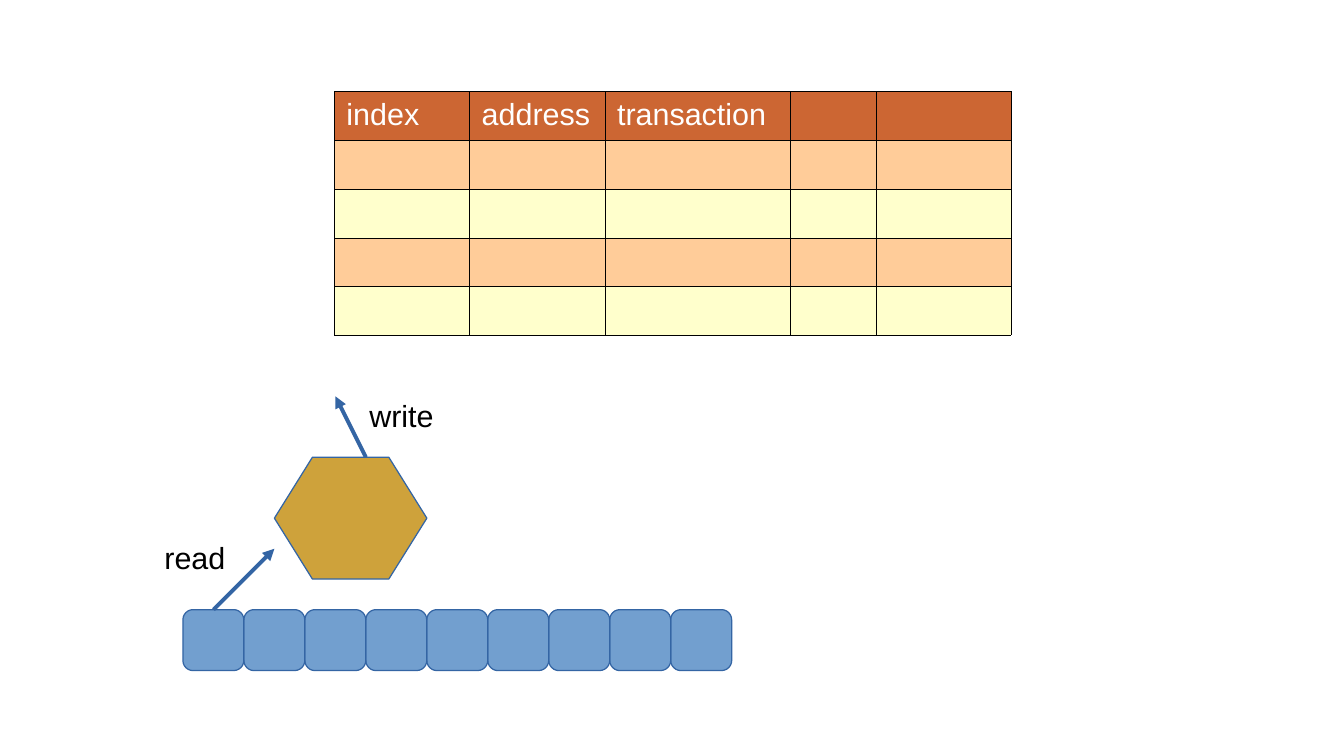
"""Build a slide with an index table, a hexagonal reader and a row of blocks."""
from lxml import etree
from pptx import Presentation
from pptx.dml.color import RGBColor
from pptx.enum.shapes import MSO_CONNECTOR, MSO_SHAPE
from pptx.enum.text import MSO_AUTO_SIZE
from pptx.oxml.ns import qn
from pptx.util import Inches, Pt

STRAIGHT = MSO_CONNECTOR.STRAIGHT
ROUNDED, HEXAGON = MSO_SHAPE.ROUNDED_RECTANGLE, MSO_SHAPE.HEXAGON
FIT_TEXT = MSO_AUTO_SIZE.SHAPE_TO_FIT_TEXT
THEME = {
    "block": "729FCF", "line": "3465A4", "hexagon": "CEA23B",
    "header": "CC6633", "bands": ["FFFFCC", "FFCC99"], "border": "000000",
    "text": "000000", "header_text": "FFFFFF",
    "font": "Arial", "size": Pt(18), "arrow": Pt(2.3), "hairline": Pt(0.06),
}
CELL = Inches(0.5)
BLOCKS = 9
HEADERS = ["index", "address", "transaction", "", ""]
COLUMNS = [1.11, 1.11, 1.52, 0.7, 1.11]
ROWS, ROW_HEIGHT = 5, Inches(0.4)


def add_node(kind, col, row, cols, rows, adjust, fill):
    s = slide.shapes.add_shape(
        kind, int(col * CELL), int(row * CELL), int(cols * CELL), int(rows * CELL))
    s.adjustments[0] = adjust
    s.shadow.inherit = False
    s.fill.solid()
    s.fill.fore_color.rgb = RGBColor.from_string(fill)
    s.line.color.rgb = RGBColor.from_string(THEME["line"])
    s.line.width = 0


def style_text(p, color):
    p.font.name = THEME["font"]
    p.font.size = THEME["size"]
    p.font.color.rgb = RGBColor.from_string(color)


prs = Presentation()
prs.slide_width, prs.slide_height = Inches(11.02), Inches(6.2)
slide = prs.slides.add_slide(prs.slide_layouts[6])

for i in reversed(range(BLOCKS)):
    add_node(ROUNDED, 3 + i, 10, 1, 1, 0.167, THEME["block"])
add_node(HEXAGON, 4.5, 7.5, 2.5, 2, 0.312, THEME["hexagon"])

table = slide.shapes.add_table(
    ROWS, len(COLUMNS), Inches(2.74), Inches(0.75),
    Inches(sum(COLUMNS)), ROWS * ROW_HEIGHT).table
table.first_row = table.horz_banding = False
for column, width in zip(table.columns, COLUMNS):
    column.width = Inches(width)
for r, row in enumerate(table.rows):
    row.height = ROW_HEIGHT
    for c, cell in enumerate(row.cells):
        cell.fill.solid()
        fill = THEME["bands"][r % 2] if r else THEME["header"]
        cell.fill.fore_color.rgb = RGBColor.from_string(fill)
        if r == 0:
            cell.text = HEADERS[c]
        style_text(cell.text_frame.paragraphs[0], THEME["header_text"])
        tc_pr = cell.fill._xPr
        for n, side in enumerate(("a:lnL", "a:lnR", "a:lnT", "a:lnB")):
            border = etree.Element(qn(side), w=str(THEME["hairline"]))
            solid = etree.SubElement(border, qn("a:solidFill"))
            etree.SubElement(solid, qn("a:srgbClr"), val=THEME["border"])
            tc_pr.insert(n, border)

for x1, y1, x2, y2 in [(3.5, 10, 4.5, 9), (6, 7.5, 5.5, 6.5)]:
    s = slide.shapes.add_connector(
        STRAIGHT, *(int(v * CELL) for v in (x1, y1, x2, y2)))
    s.line.color.rgb = RGBColor.from_string(THEME["line"])
    s.line.width = THEME["arrow"]
    etree.SubElement(s.line._get_or_add_ln(), qn("a:tailEnd"), type="triangle")
    etree.SubElement(s._element.spPr, qn("a:effectLst"))

for label, x, y, width in [("read", 1.25, 4.37, 0.7), ("write", 2.93, 3.21, 0.73)]:
    tf = slide.shapes.add_textbox(
        Inches(x), Inches(y), Inches(width), Inches(0.38)).text_frame
    tf.word_wrap = False
    tf.auto_size = FIT_TEXT
    tf.text = label
    style_text(tf.paragraphs[0], THEME["text"])

prs.save("out.pptx")
